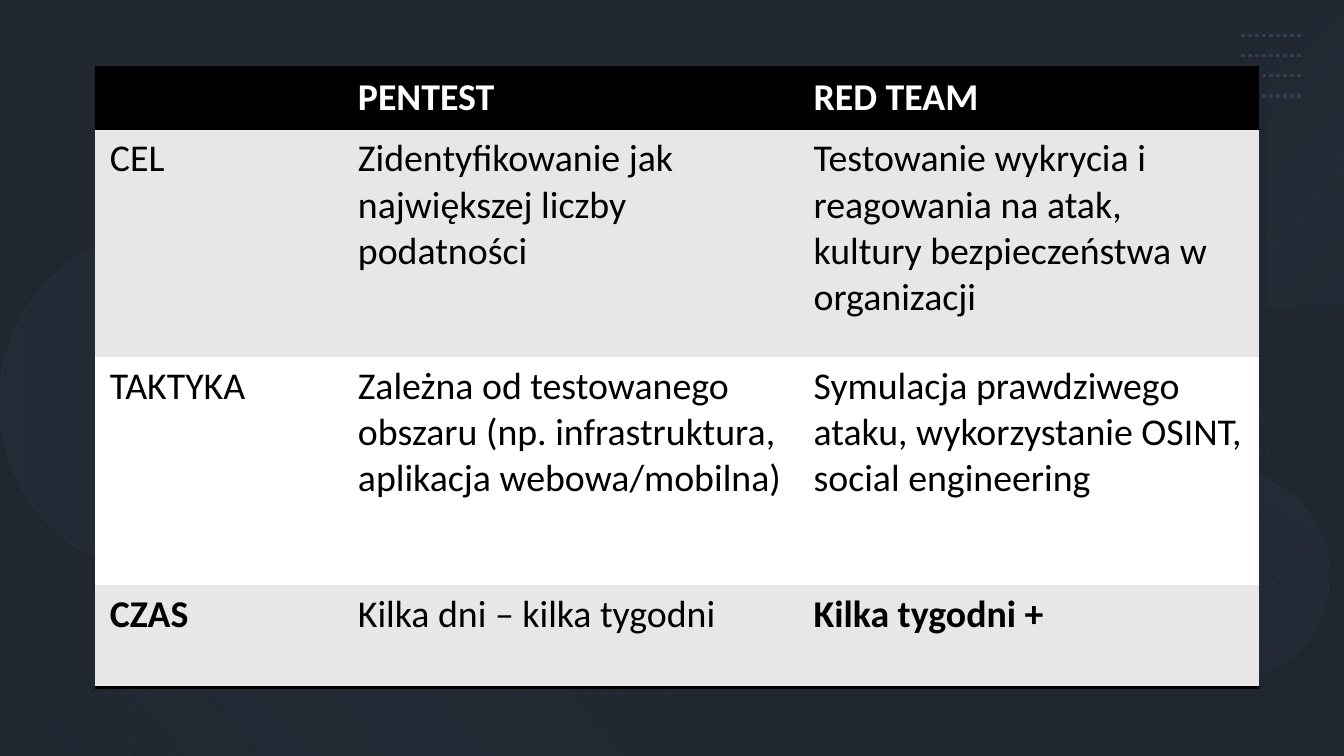
from dataclasses import dataclass

from lxml.etree import SubElement
from pptx import Presentation
from pptx.dml.color import RGBColor
from pptx.enum.dml import MSO_LINE
from pptx.enum.shapes import MSO_CONNECTOR, MSO_SHAPE
from pptx.oxml import parse_xml
from pptx.oxml.ns import nsdecls, qn
from pptx.util import Emu, Pt

EMU_PER_PX = 9144
SLIDE_SIZE = (1333, 750)
PLAIN_TABLE_STYLE = "{2D5ABB26-0587-4C30-8999-92F81FD0307C}"


@dataclass(frozen=True)
class Theme:
    font: str = "Calibri"
    text_size: int = 27
    base: str = "44546A"
    black: str = "000000"
    white: str = "FFFFFF"
    band: str = "E7E7E7"
    dark: str = "222A35"
    slate: str = "333F50"
    mist: str = "ADB9CA"
    steel: str = "8497B0"
    line_width: float = 2.5
    border_width: int = 2


THEME = Theme()

COLUMN_WIDTHS = (246, 452, 457)
ROW_HEIGHTS = (61, 226, 226, 102)
ROW_FILLS = (THEME.black, THEME.band, THEME.white, THEME.band)
COMPARISON = (
    ("", "PENTEST", "RED TEAM"),
    ("CEL", "Zidentyfikowanie jak największej liczby podatności",
     "Testowanie wykrycia i reagowania na atak,\nkultury bezpieczeństwa w organizacji"),
    ("TAKTYKA", "Zależna od testowanego obszaru (np. infrastruktura, aplikacja webowa/mobilna)",
     "Symulacja prawdziwego ataku, wykorzystanie OSINT, social engineering"),
    ("CZAS", "Kilka dni – kilka tygodni", "Kilka tygodni +"),
)
BOLD_TEXTS = {"PENTEST", "RED TEAM", "CZAS", "Kilka tygodni +"}


def px(value):
    return Emu(value * EMU_PER_PX)


def rgb(color):
    return RGBColor.from_string(color)


def add_preset(shapes, kind, box, rotation=0):
    shape = shapes.add_shape(kind, *map(px, box))
    shape.rotation = rotation
    shape.shadow.inherit = False
    shape.line.fill.background()
    return shape


def add_panel(shapes, color, opacity=100):
    """Cover the whole slide with one colour; opacity is in percent."""
    panel = add_preset(shapes, MSO_SHAPE.RECTANGLE, (0, 0, *SLIDE_SIZE))
    panel.fill.solid()
    panel.fill.fore_color.rgb = rgb(color)
    if opacity < 100:
        color_element = panel.fill._xPr.find(qn("a:solidFill"))[0]
        SubElement(color_element, qn("a:alpha")).set("val", str(opacity * 1000))


def add_gradient(shapes, kind, box, rotation, stops, angle):
    """Add a shape with stops given as (position, colour, opacity), in percent."""
    shape = add_preset(shapes, kind, box, rotation)
    shape.fill.background()
    stop_xml = "".join(
        f'<a:gs pos="{position * 1000}"><a:srgbClr val="{color}">'
        f'<a:alpha val="{opacity * 1000}"/></a:srgbClr></a:gs>'
        for position, color, opacity in stops
    )
    gradient = parse_xml(
        f'<a:gradFill {nsdecls("a")} rotWithShape="1"><a:gsLst>{stop_xml}</a:gsLst>'
        f'<a:lin ang="{angle * 60000}" scaled="0"/></a:gradFill>'
    )
    properties = shape._element.spPr
    properties.replace(properties.find(qn("a:noFill")), gradient)


def style_line(line, color, dotted=True):
    line.color.rgb = rgb(color)
    line.width = Pt(THEME.line_width)
    if dotted:
        line.dash_style = MSO_LINE.ROUND_DOT


def add_ring(shapes, left, top, diameter, rotation, dotted=True):
    ring = add_preset(shapes, MSO_SHAPE.OVAL, (left, top, diameter, diameter), rotation)
    ring.fill.background()
    style_line(ring.line, THEME.dark, dotted)


def add_dotted_lines(slide, start, end, step, color):
    """Group four parallel lines, each moved by step from the one before."""
    shapes = slide.shapes.add_group_shape().shapes
    for index in range(4):
        shift_x, shift_y = index * step[0], index * step[1]
        connector = shapes.add_connector(
            MSO_CONNECTOR.STRAIGHT,
            px(start[0] + shift_x), px(start[1] + shift_y),
            px(end[0] + shift_x), px(end[1] + shift_y),
        )
        style_line(connector.line, color)
        SubElement(connector._element.spPr, qn("a:effectLst"))


def add_circles(slide):
    shapes = slide.shapes.add_group_shape().shapes
    add_ring(shapes, 869, 274, 390, 75)
    add_ring(shapes, 1141, 443, 151, 270)
    add_gradient(shapes, MSO_SHAPE.OVAL, (0, 227, 344, 344), 270,
                 ((0, THEME.slate, 20), (100, THEME.dark, 10)), 90)
    add_gradient(shapes, MSO_SHAPE.OVAL, (1110, 467, 208, 208), 210,
                 ((0, THEME.slate, 10), (100, THEME.slate, 20)), 90)
    add_ring(shapes, 224, 333, 282, 75)
    add_ring(shapes, 243, 349, 245, 75, dotted=False)


def add_backdrop(slide):
    add_panel(slide.shapes, THEME.base)
    add_panel(slide.shapes, THEME.black, 53)
    add_circles(slide)
    add_gradient(slide.shapes, MSO_SHAPE.RECTANGLE, (1142, 114, 306, 78), 270,
                 ((0, THEME.mist, 0), (100, THEME.slate, 10)), 140)
    add_dotted_lines(slide, (1231, 35), (1291, 35), (0, 20), THEME.slate)
    add_gradient(slide.shapes, MSO_SHAPE.RECTANGLE, (0, 672, 667, 78), 180,
                 ((10, THEME.dark, 10), (100, THEME.steel, 0)), 140)
    add_dotted_lines(slide, (168, 609), (168, 750), (-20, 0), THEME.dark)


def add_borders(cell, sides):
    for index, side in enumerate(sides):
        border = parse_xml(
            f'<a:ln{side} {nsdecls("a")} w="{Pt(THEME.border_width)}"><a:solidFill>'
            f'<a:srgbClr val="{THEME.black}"/></a:solidFill></a:ln{side}>'
        )
        cell._tc.get_or_add_tcPr().insert(index, border)


def fill_cell(cell, text, fill, text_color):
    cell.fill.solid()
    cell.fill.fore_color.rgb = rgb(fill)
    cell.margin_left = cell.margin_right = px(15)
    cell.margin_top = cell.margin_bottom = px(7)
    frame = cell.text_frame
    for index, line in enumerate(text.split("\n")):
        paragraph = frame.add_paragraph() if index else frame.paragraphs[0]
        paragraph.font.size = Pt(THEME.text_size)
        if not line:
            continue
        run = paragraph.add_run()
        run.text = line
        run.font.name = THEME.font
        run.font.size = Pt(THEME.text_size)
        run.font.bold = text in BOLD_TEXTS
        run.font.color.rgb = rgb(text_color)


def add_comparison_table(slide):
    table = slide.shapes.add_table(
        len(ROW_HEIGHTS), len(COLUMN_WIDTHS), px(94), px(67),
        px(sum(COLUMN_WIDTHS)), px(sum(ROW_HEIGHTS)),
    ).table
    table._tbl.tblPr.find(qn("a:tableStyleId")).text = PLAIN_TABLE_STYLE
    table.horz_banding = False
    for column, width in zip(table.columns, COLUMN_WIDTHS):
        column.width = px(width)
    borders = {0: "TB", len(ROW_HEIGHTS) - 1: "B"}
    for row_index, texts in enumerate(COMPARISON):
        table.rows[row_index].height = px(ROW_HEIGHTS[row_index])
        text_color = THEME.black if row_index else THEME.white
        for column_index, text in enumerate(texts):
            cell = table.cell(row_index, column_index)
            fill_cell(cell, text, ROW_FILLS[row_index], text_color)
            add_borders(cell, borders.get(row_index, ""))


def main():
    presentation = Presentation()
    presentation.slide_width, presentation.slide_height = map(px, SLIDE_SIZE)
    slide = presentation.slides.add_slide(presentation.slide_layouts[6])
    add_backdrop(slide)
    add_comparison_table(slide)
    presentation.save("out.pptx")


if __name__ == "__main__":
    main()
